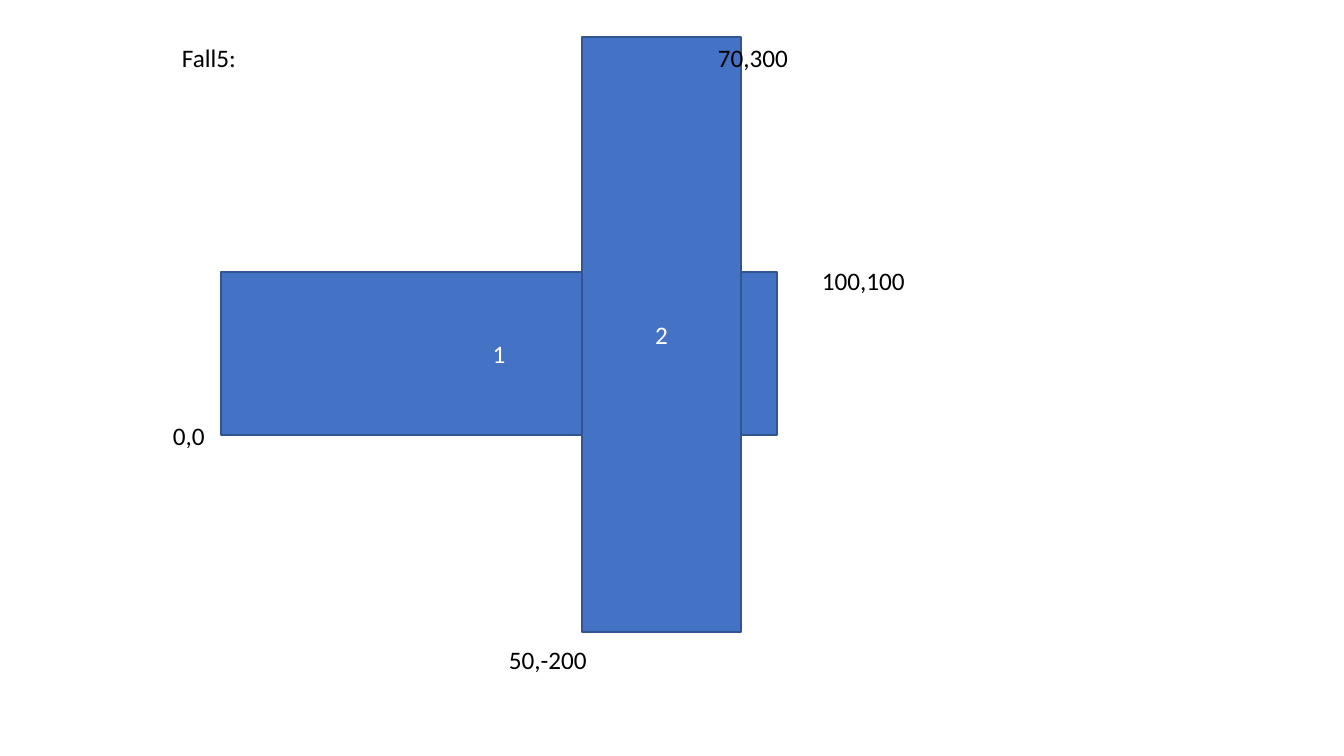
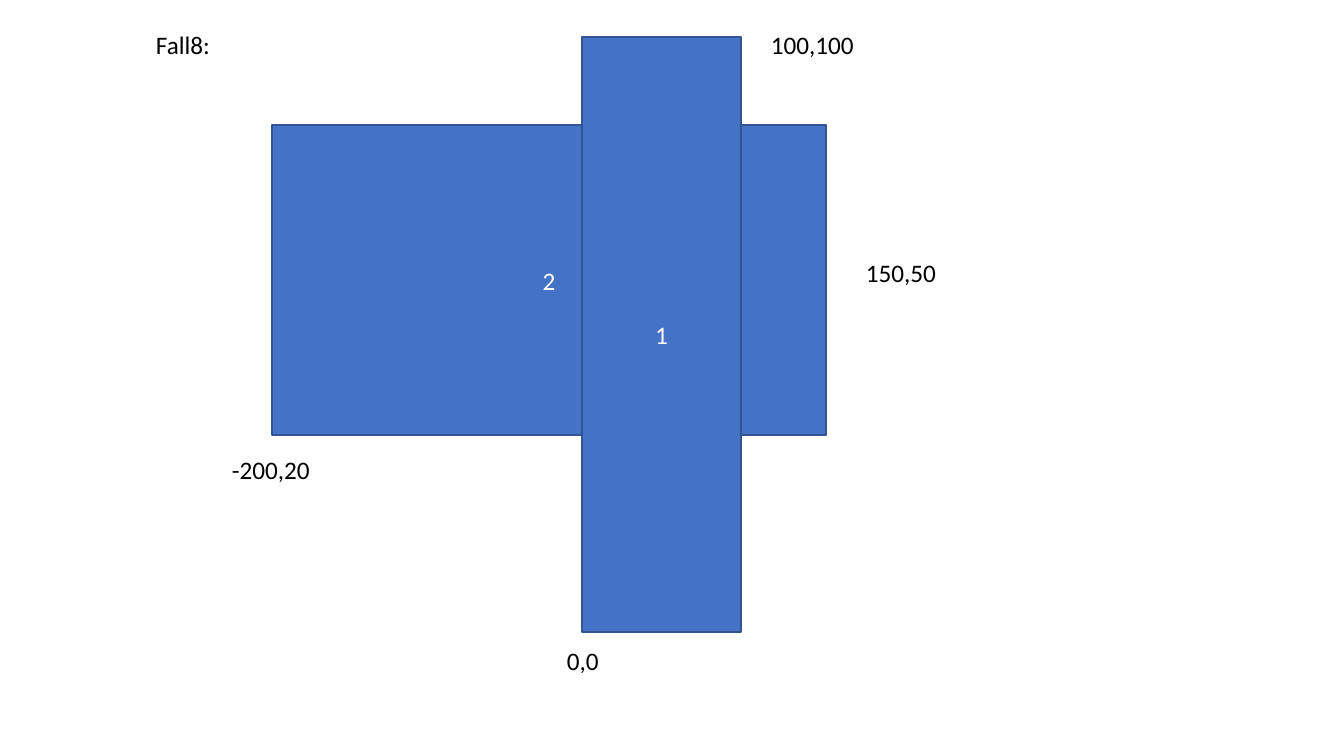
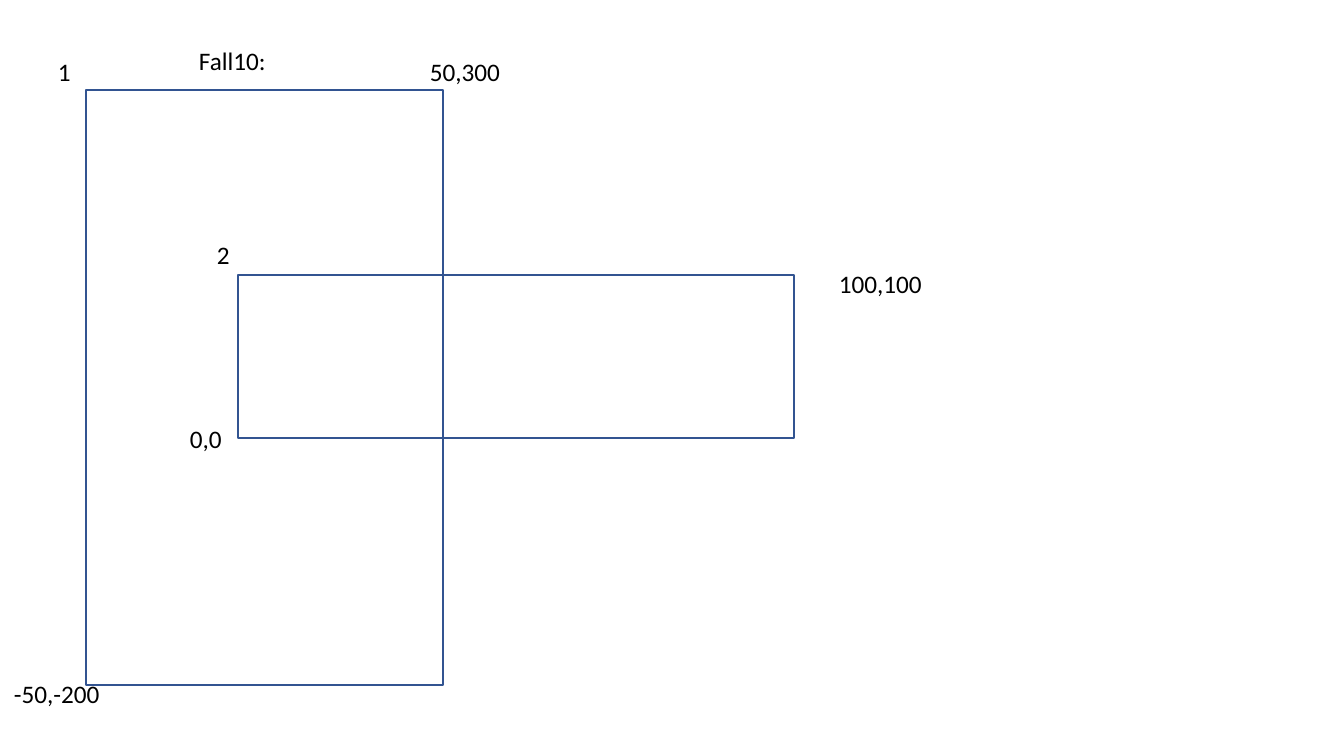
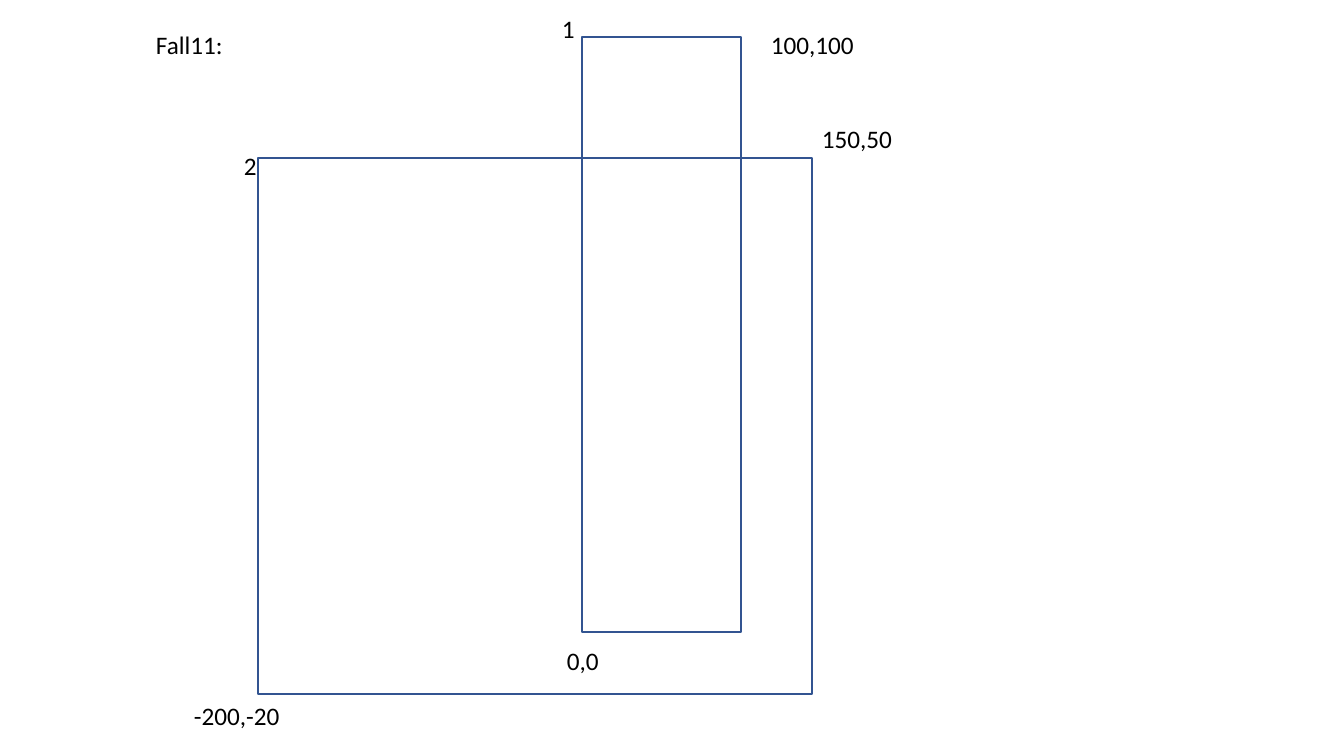
from dataclasses import dataclass
from typing import Optional

from pptx import Presentation
from pptx.dml.color import RGBColor
from pptx.enum.shapes import MSO_SHAPE
from pptx.enum.text import MSO_ANCHOR, MSO_AUTO_SIZE, PP_ALIGN
from pptx.util import Emu, Pt

SCALE = 914400 / 100.8


@dataclass(frozen=True)
class Theme:
    """Colours, type and line sizes shared by all slides."""
    fill: str = "4472C4"
    edge: str = "325491"
    ink: str = "000000"
    light: str = "FFFFFF"
    font: str = "Calibri"
    size: int = 18
    line: int = 1
    row: int = 40
    inset: int = 20


@dataclass(frozen=True)
class Label:
    """A text and its offset from the corner it belongs to."""
    text: str
    dx: int
    dy: int


@dataclass(frozen=True)
class Bar:
    """A rectangle, its lower left and upper right labels, and its number."""
    box: tuple
    num: str
    low: Label
    high: Label
    tag: Optional[tuple] = None  # offset of an outside number; None fills the bar


THEME = Theme()
WIDTHS = {",": 6.3, "-": 7.7, ":": 6.7, "F": 11.6, "a": 12.1, "l": 5.8}
DIGIT = 12.8


def px(*vals):
    """Turn pixels into EMU."""
    return [Emu(round(val * SCALE)) for val in vals]


def color(code):
    """Turn a hex code into a colour."""
    return RGBColor.from_string(code)


def write(frame, text, ink=THEME.ink, align=PP_ALIGN.LEFT, anchor=MSO_ANCHOR.TOP):
    """Put formatted text into a frame."""
    frame.vertical_anchor = anchor
    para = frame.paragraphs[0]
    para.alignment = align
    run = para.add_run()
    run.text = text
    run.font.name = THEME.font
    run.font.size = Pt(THEME.size)
    run.font.color.rgb = color(ink)


def note(slide, text, left, top):
    """Add a one-line text box as wide as its text."""
    width = THEME.inset + sum(WIDTHS.get(char, DIGIT) for char in text)
    frame = slide.shapes.add_textbox(*px(left, top, width, THEME.row)).text_frame
    frame.word_wrap = False
    frame.auto_size = MSO_AUTO_SIZE.SHAPE_TO_FIT_TEXT
    write(frame, text)


def draw(slide, bar):
    """Draw a bar, filled with its number inside or as an outline."""
    shape = slide.shapes.add_shape(MSO_SHAPE.RECTANGLE, *px(*bar.box))
    shape.shadow.inherit = False
    shape.line.color.rgb = color(THEME.edge)
    shape.line.width = Pt(THEME.line)
    if bar.tag:
        shape.fill.background()
    else:
        shape.fill.solid()
        shape.fill.fore_color.rgb = color(THEME.fill)
        write(shape.text_frame, bar.num, ink=THEME.light,
              align=PP_ALIGN.CENTER, anchor=MSO_ANCHOR.MIDDLE)


def mark(slide, bar):
    """Label the corners of a bar."""
    left, top, width, height = bar.box
    low, high = bar.low, bar.high
    note(slide, low.text, left + low.dx, top + height + low.dy)
    note(slide, high.text, left + width + high.dx, top + high.dy)
    if bar.tag:
        note(slide, bar.num, left + bar.tag[0], top + bar.tag[1])


def build(deck, title, spot, bars):
    """Add one case: its title, then bars from back to front, then labels."""
    slide = deck.slides.add_slide(deck.slide_layouts[6])
    note(slide, title, *spot)
    for bar in bars:
        draw(slide, bar)
    for bar in bars:
        mark(slide, bar)


TOWER = (582, 37, 159, 595)
ZERO = Label("0,0", -58, -20)
FOOT = Label("0,0", -25, 8)
SIDE = Label("100,100", 35, -12)
PEAK = Label("100,100", 20, -13)

CASES = [
    ("Fall5:", (172, 37), [
        Bar((221, 272, 556, 163), "1", ZERO, SIDE),
        Bar(TOWER, "2", Label("50,-200", -83, 7), Label("70,300", -33, 0)),
    ]),
    ("Fall8:", (146, 24), [
        Bar((272, 125, 554, 310), "2", Label("-200,20", -50, 14),
            Label("150,50", 30, 127)),
        Bar(TOWER, "1", FOOT, PEAK),
    ]),
    ("Fall10:", (189, 40), [
        Bar((238, 275, 556, 163), "2", ZERO, SIDE, tag=(-31, -41)),
        Bar((86, 90, 357, 595), "1", Label("-50,-200", -82, -12),
            Label("50,300", -23, -39), tag=(-38, -39)),
    ]),
    ("Fall11:", (146, 24), [
        Bar((258, 158, 554, 536), "2", Label("-200,-20", -74, 1),
            Label("150,50", 0, -40), tag=(-24, -13)),
        Bar(TOWER, "1", FOOT, PEAK, tag=(-30, -29)),
    ]),
]

deck = Presentation()
deck.slide_width, deck.slide_height = px(1344, 756)
for case in CASES:
    build(deck, *case)
deck.save("out.pptx")
